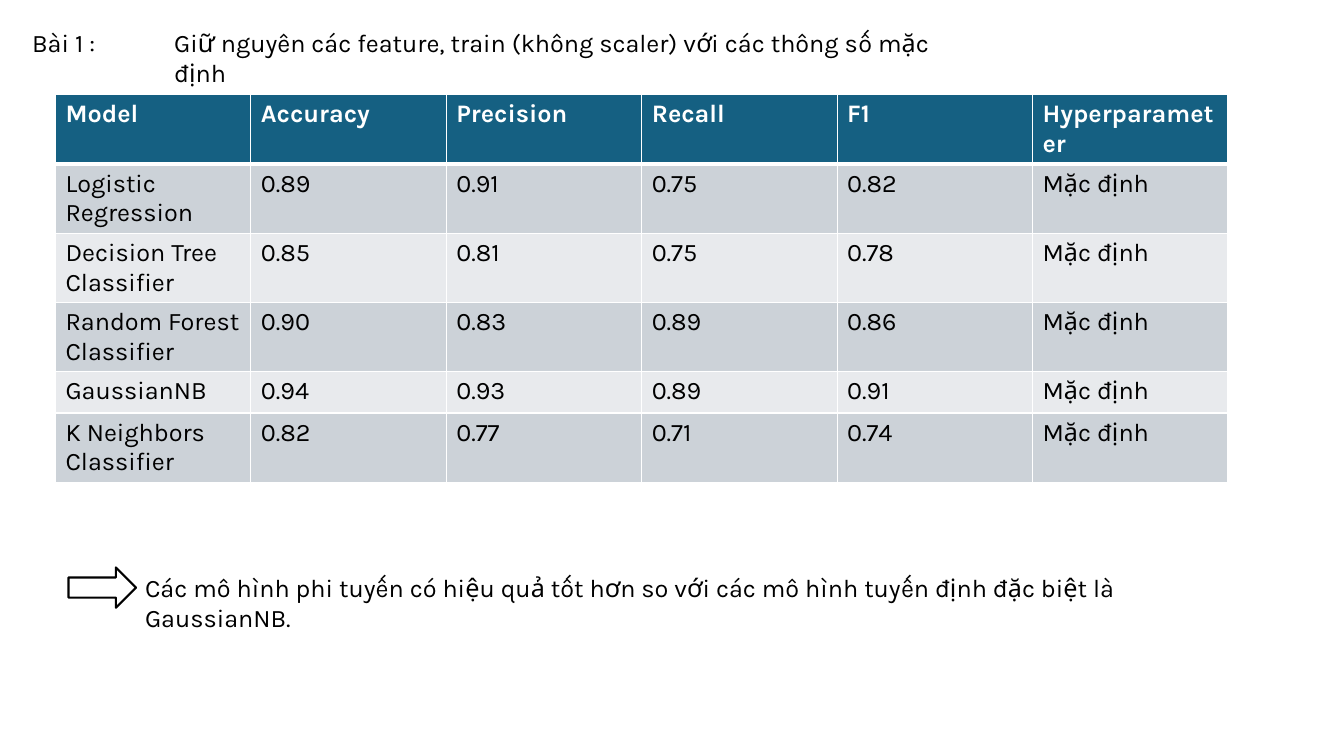
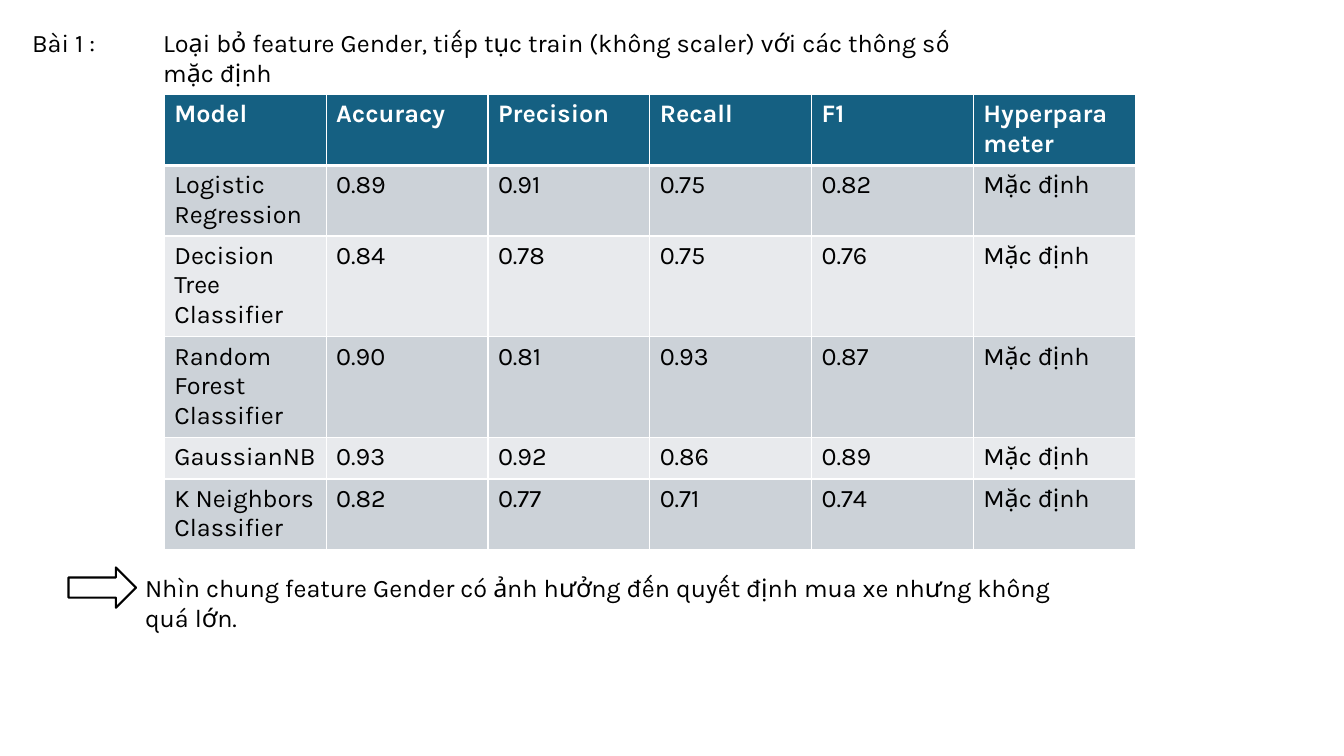
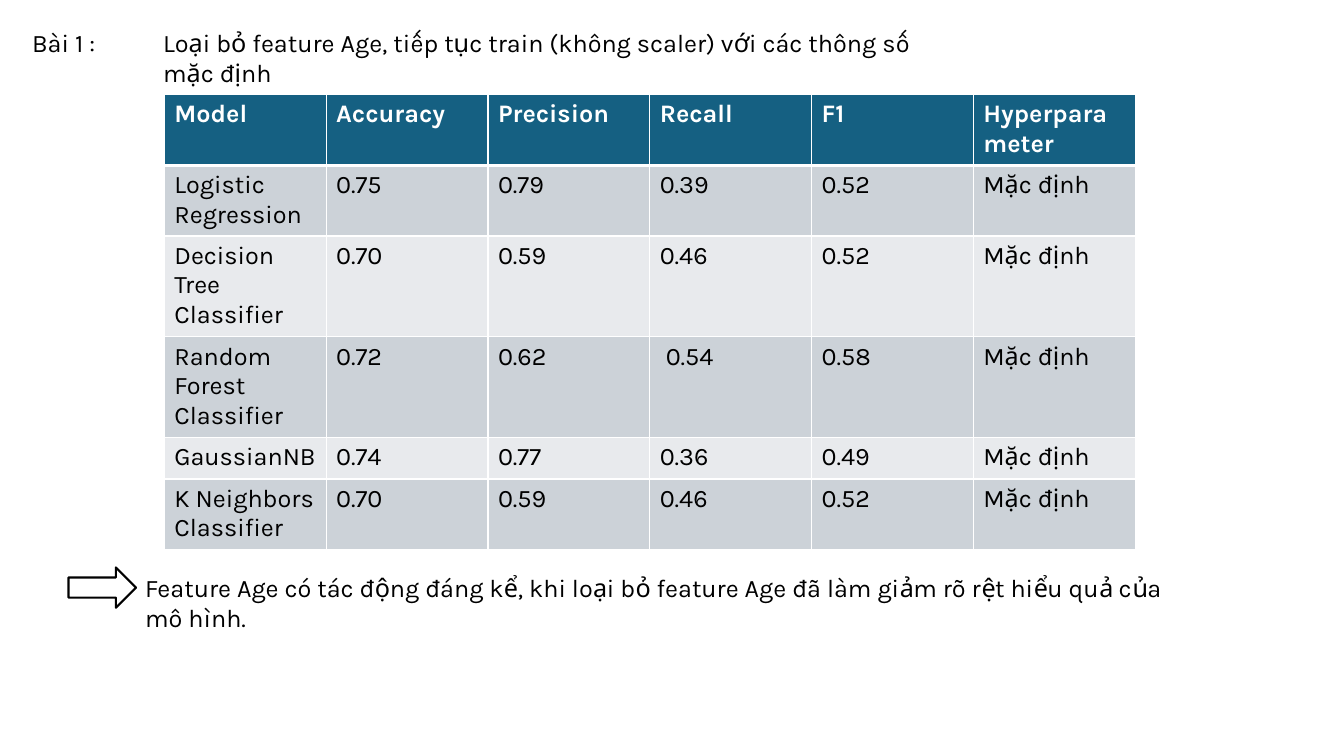
"""Builds three slides comparing classifier scores with different features kept."""
from lxml import etree
from pptx import Presentation
from pptx.dml.color import RGBColor
from pptx.enum.shapes import MSO_SHAPE
from pptx.oxml.ns import qn
from pptx.util import Inches, Pt

RIGHT_ARROW = MSO_SHAPE.RIGHT_ARROW
BLACK = RGBColor(0x00, 0x00, 0x00)
WHITE = RGBColor(0xFF, 0xFF, 0xFF)
HEADER_BLUE = RGBColor(0x15, 0x60, 0x82)
BAND_DARK = RGBColor(0xCC, 0xD2, 0xD8)
BAND_LIGHT = RGBColor(0xE8, 0xEA, 0xED)

FONT = "Karla"
ROW_HEIGHT = 0.41
TITLE_TOP = 0.22
TABLE_TOP = 0.94
CONCLUSION_TOP = 5.63
HEADERS = ["Model", "Accuracy", "Precision", "Recall", "F1", "Hyperparameter"]
MODELS = [
    "Logistic Regression",
    "Decision Tree Classifier",
    "Random Forest Classifier",
    "GaussianNB",
    "K Neighbors Classifier",
]
DEFAULT_SETTING = "Mặc định"

EXPERIMENTS = [
    {
        "title": "Giữ nguyên các feature, train (không scaler) với các thông số mặc định",
        "title_left": 1.63,
        "title_width": 7.76,
        "table_left": 0.55,
        "table_width": 11.63,
        "scores": [
            ["0.89", "0.91", "0.75", "0.82"],
            ["0.85", "0.81", "0.75", "0.78"],
            ["0.90", "0.83", "0.89", "0.86"],
            ["0.94", "0.93", "0.89", "0.91"],
            ["0.82", "0.77", "0.71", "0.74"],
        ],
        "conclusion": "Các mô hình phi tuyến có hiệu quả tốt hơn so với các mô hình "
                      "tuyến định đặc biệt là GaussianNB.",
        "conclusion_width": 10.66,
    },
    {
        "title": "Loại bỏ feature Gender, tiếp tục train (không scaler) với các thông số mặc định",
        "title_left": 1.52,
        "title_width": 8.52,
        "table_left": 1.63,
        "table_width": 9.63,
        "scores": [
            ["0.89", "0.91", "0.75", "0.82"],
            ["0.84", "0.78", "0.75", "0.76"],
            ["0.90", "0.81", "0.93", "0.87"],
            ["0.93", "0.92", "0.86", "0.89"],
            ["0.82", "0.77", "0.71", "0.74"],
        ],
        "conclusion": "Nhìn chung feature Gender có ảnh hưởng đến quyết định mua xe "
                      "nhưng không quá lớn.",
        "conclusion_width": 9.46,
    },
    {
        "title": "Loại bỏ feature Age, tiếp tục train (không scaler) với các thông số mặc định",
        "title_left": 1.52,
        "title_width": 8.13,
        "table_left": 1.63,
        "table_width": 9.63,
        "scores": [
            ["0.75", "0.79", "0.39", "0.52"],
            ["0.70", "0.59", "0.46", "0.52"],
            ["0.72", "0.62", " 0.54", "0.58"],
            ["0.74", "0.77", "0.36", "0.49"],
            ["0.70", "0.59", "0.46", "0.52"],
        ],
        "conclusion": "Feature Age có tác động đáng kể, khi loại bỏ feature Age đã làm "
                      "giảm rõ rệt hiểu quả của mô hình.",
        "conclusion_width": 10.59,
    },
]


def write(frame, text, color=BLACK, bold=False):
    frame.text = text
    font = frame.paragraphs[0].font
    font.name = FONT
    font.size = Pt(18)
    font.bold = bold
    font.color.rgb = color


def add_label(slide, text, left, top, width):
    label = slide.shapes.add_textbox(Inches(left), Inches(top), Inches(width), Inches(0.4))
    label.text_frame.word_wrap = True
    write(label.text_frame, text)


prs = Presentation()
prs.slide_width = Inches(13.33)
prs.slide_height = Inches(7.5)
blank = prs.slide_layouts[6]

for experiment in EXPERIMENTS:
    slide = prs.slides.add_slide(blank)

    rows = [HEADERS]
    for model, scores in zip(MODELS, experiment["scores"]):
        rows.append([model, *scores, DEFAULT_SETTING])
    results = slide.shapes.add_table(
        len(rows), len(HEADERS),
        Inches(experiment["table_left"]), Inches(TABLE_TOP),
        Inches(experiment["table_width"]), Inches(ROW_HEIGHT * len(rows)),
    ).table

    for row_index, row in enumerate(rows):
        is_header = row_index == 0
        band = BAND_DARK if row_index % 2 else BAND_LIGHT
        border_widths = {
            "a:lnL": 1,
            "a:lnR": 1,
            "a:lnT": 3 if row_index == 1 else 1,
            "a:lnB": 3 if is_header else 1,
        }
        for column_index, text in enumerate(row):
            cell = results.cell(row_index, column_index)
            write(cell.text_frame, text, WHITE if is_header else BLACK, is_header)
            properties = cell._tc.get_or_add_tcPr()
            for tag, width in border_widths.items():
                border = etree.SubElement(properties, qn(tag), w=str(Pt(width)))
                line_fill = etree.SubElement(border, qn("a:solidFill"))
                etree.SubElement(line_fill, qn("a:srgbClr"), val=str(WHITE))
            cell.fill.solid()
            cell.fill.fore_color.rgb = HEADER_BLUE if is_header else band

    add_label(slide, experiment["conclusion"], 1.34, CONCLUSION_TOP,
              experiment["conclusion_width"])

    arrow = slide.shapes.add_shape(
        RIGHT_ARROW, Inches(0.68), Inches(CONCLUSION_TOP), Inches(0.67), Inches(0.4))
    arrow.shadow.inherit = False
    arrow.fill.solid()
    arrow.fill.fore_color.rgb = WHITE
    arrow.line.color.rgb = BLACK
    arrow.line.width = Pt(1.5)

    add_label(slide, "Bài 1 :", 0.22, TITLE_TOP, 0.91)
    add_label(slide, experiment["title"], experiment["title_left"], TITLE_TOP,
              experiment["title_width"])

prs.save("out.pptx")
